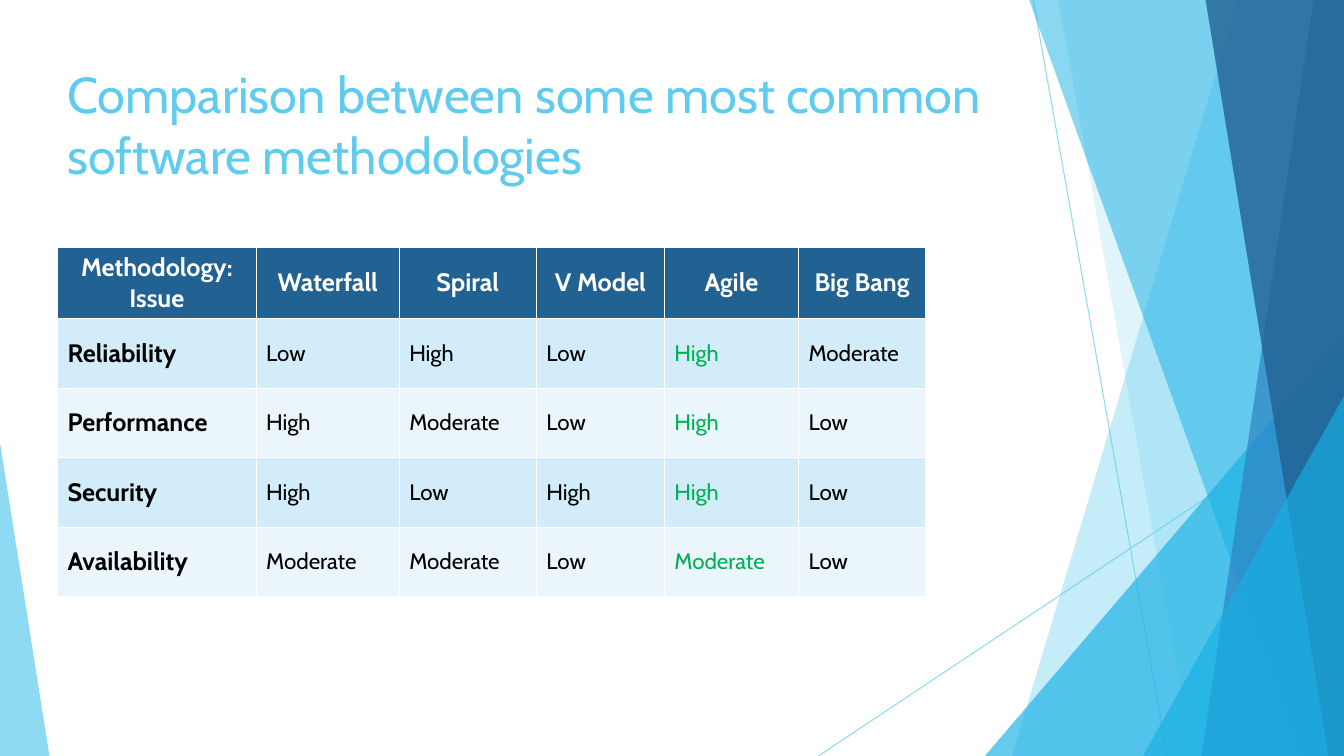
from pptx import Presentation
from pptx.dml.color import RGBColor
from pptx.enum.shapes import MSO_CONNECTOR, MSO_SHAPE
from pptx.enum.text import MSO_ANCHOR, MSO_AUTO_SIZE, PP_ALIGN
from pptx.oxml.ns import qn
from pptx.util import Inches, Pt
from lxml.etree import SubElement

SKY = RGBColor(0x5F, 0xCB, 0xEF)
CYAN = RGBColor(0x17, 0xB0, 0xE4)
BLUE = RGBColor(0x2E, 0x83, 0xC3)
NAVY = RGBColor(0x22, 0x62, 0x92)
BAND_DARK = RGBColor(0xD2, 0xEC, 0xF9)
BAND_LIGHT = RGBColor(0xEA, 0xF6, 0xFC)
GREEN = RGBColor(0x00, 0xB0, 0x50)
BLACK = RGBColor(0, 0, 0)
WHITE = RGBColor(0xFF, 0xFF, 0xFF)
FONT = "Cabin"


def write_text(frame, text, size=16, color=BLACK, bold=False, align=PP_ALIGN.LEFT):
    paragraph = frame.paragraphs[0]
    paragraph.alignment = align
    run = paragraph.add_run()
    run.text = text
    run.font.name = FONT
    run.font.size = Pt(size)
    run.font.bold = bold
    run.font.color.rgb = color


def set_opacity(shape, percent):
    for color in shape.element.spPr.iter(qn("a:srgbClr")):
        SubElement(color, qn("a:alpha")).set("val", str(percent * 1000))


class SlideBuilder:
    """Places elements by percentages of the slide's width and height."""

    def __init__(self, presentation):
        self.width = presentation.slide_width
        self.height = presentation.slide_height
        self.slide = presentation.slides.add_slide(presentation.slide_layouts[5])
        self.shapes = self.slide.shapes

    def across(self, percent):
        return round(self.width * percent / 100)

    def down(self, percent):
        return round(self.height * percent / 100)

    def point(self, left, top):
        return self.across(left), self.down(top)

    def paint(self, shape, color, opacity):
        shape.shadow.inherit = False
        shape.fill.solid()
        shape.fill.fore_color.rgb = color
        shape.line.fill.background()
        set_opacity(shape, opacity)

    def thin_line(self, start, end):
        connector = self.shapes.add_connector(
            MSO_CONNECTOR.STRAIGHT, *self.point(*start), *self.point(*end))
        connector.line.width = Pt(0.75)
        connector.line.color.rgb = SKY
        set_opacity(connector, 70)
        SubElement(connector.element.spPr, qn("a:effectLst"))

    def right_edge_panel(self, top_left, bottom_left, color, opacity):
        builder = self.shapes.build_freeform(*self.point(top_left, 0))
        corners = [(100, 0), (100, 100), (bottom_left, 100)]
        builder.add_line_segments([self.point(*corner) for corner in corners], close=True)
        self.paint(builder.convert_to_shape(), color, opacity)

    def bottom_triangle(self, left, top, width, apex, color, opacity):
        triangle = self.shapes.add_shape(
            MSO_SHAPE.ISOSCELES_TRIANGLE, *self.point(left, top),
            *self.point(width, 100 - top))
        triangle.adjustments[0] = apex
        self.paint(triangle, color, opacity)

    def title(self, text, left, top, width, height):
        title = self.shapes.title
        title.left, title.top = self.point(left, top)
        title.width, title.height = self.point(width, height)
        frame = title.text_frame
        frame.word_wrap = True
        frame.auto_size = MSO_AUTO_SIZE.NONE
        frame.vertical_anchor = MSO_ANCHOR.TOP
        write_text(frame, text, size=36, color=SKY)

    def table(self, rows, left, top, column_widths, row_height, highlight):
        table = self.shapes.add_table(
            len(rows), len(column_widths), *self.point(left, top),
            *self.point(sum(column_widths), row_height * len(rows))).table
        for column, width in zip(table.columns, column_widths):
            column.width = self.across(width)
        for row_index, values in enumerate(rows):
            table.rows[row_index].height = self.down(row_height)
            for column_index, value in enumerate(values):
                cell = table.cell(row_index, column_index)
                cell.vertical_anchor = MSO_ANCHOR.MIDDLE
                cell.fill.solid()
                if row_index == 0:
                    fill = NAVY
                    style = dict(size=18, color=WHITE, bold=True, align=PP_ALIGN.CENTER)
                else:
                    fill = BAND_DARK if row_index % 2 else BAND_LIGHT
                    if column_index == 0:
                        style = dict(size=18, bold=True)
                    else:
                        style = dict(color=GREEN if column_index == highlight else BLACK)
                cell.fill.fore_color.rgb = fill
                write_text(cell.text_frame, value, **style)


presentation = Presentation()
presentation.slide_width = Inches(13.33)
presentation.slide_height = Inches(7.5)
page = SlideBuilder(presentation)

# Background facets
page.thin_line((76.88, 0), (86.85, 100))
page.thin_line((100, 53.73), (60.9, 100))
page.right_edge_panel(92.1, 75.3, SKY, 36)
page.right_edge_panel(78.75, 88.73, SKY, 20)
page.bottom_triangle(73.28, 44.4, 26.72, 1, CYAN, 66)
page.right_edge_panel(76.58, 96.83, CYAN, 50)
page.right_edge_panel(97.73, 89.4, BLUE, 70)
page.right_edge_panel(89.7, 98.85, NAVY, 80)
page.bottom_triangle(85.05, 52.4, 14.95, 1, CYAN, 66)
page.bottom_triangle(0, 58.53, 3.68, 0, SKY, 70)

# Title
page.title("Comparison between some most common software methodologies",
           4.28, 7.73, 73.88, 19.2)

# Comparison table, with Agile highlighted
COMPARISON = [
    ["Methodology: Issue", "Waterfall", "Spiral", "V Model", "Agile", "Big Bang"],
    ["Reliability", "Low", "High", "Low", "High", "Moderate"],
    ["Performance", "High", "Moderate", "Low", "High", "Low"],
    ["Security", "High", "Low", "High", "High", "Low"],
    ["Availability", "Moderate", "Moderate", "Low", "Moderate", "Low"],
]
page.table(COMPARISON, 4.28, 32.67, [14.78, 10.65, 10.2, 9.53, 9.98, 9.45], 9.2,
           highlight=COMPARISON[0].index("Agile"))

presentation.save("out.pptx")
